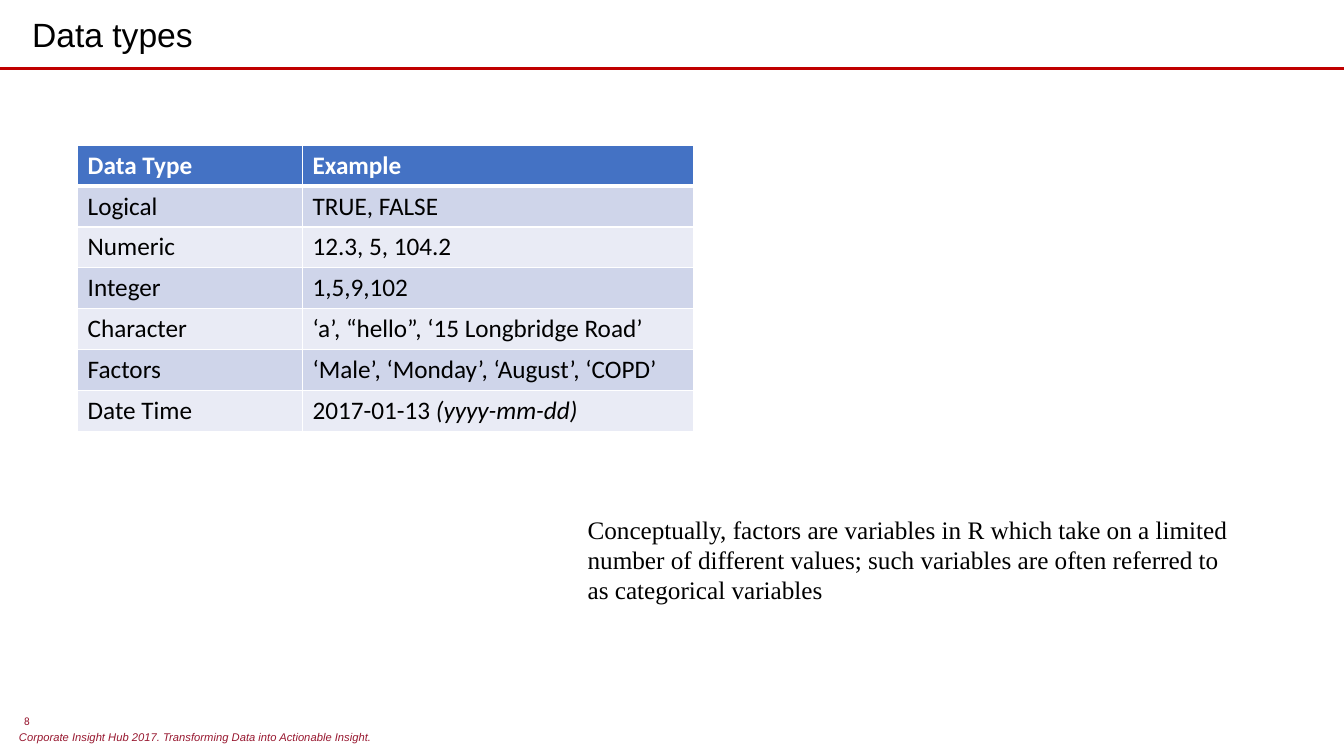
from lxml import etree
from pptx import Presentation
from pptx.dml.color import RGBColor
from pptx.enum import shapes, text
from pptx.oxml import ns
from pptx.util import Inches, Pt

BLACK = RGBColor(0x00, 0x00, 0x00)
WHITE = RGBColor(0xFF, 0xFF, 0xFF)
RULE_RED = RGBColor(0xC0, 0x00, 0x00)
FOOTER_RED = RGBColor(0x98, 0x18, 0x30)
HEADER_BLUE = RGBColor(0x44, 0x72, 0xC4)
BANDS = (RGBColor(0xCF, 0xD5, 0xEA), RGBColor(0xE9, 0xEB, 0xF5))

PAGE_WIDTH, PAGE_HEIGHT = 13.33, 7.5
COLUMN_WIDTHS = (2.23, 3.88)
DATA_TYPES = (
    ("Data Type", "Example"),
    ("Logical", "TRUE, FALSE"),
    ("Numeric", "12.3, 5, 104.2"),
    ("Integer", "1,5,9,102"),
    ("Character", "‘a’, “hello”, ‘15 Longbridge Road’"),
    ("Factors", "‘Male’, ‘Monday’, ‘August’, ‘COPD’"),
    ("Date Time", "2017-01-13 "),
)
DATE_FORMAT = "(yyyy-mm-dd)"
FACTORS_NOTE = (
    "Conceptually, factors are variables in R which take on a limited number of "
    "different values; such variables are often referred to as categorical variables"
)


def style_font(para, name, size, color, bold=False, italic=False):
    font = para.font
    font.name, font.size = name, Pt(size)
    font.bold, font.italic = bold, italic
    font.color.rgb = color


def add_text(page, box, words, name, size, color, italic=False):
    """Place a wrapping text box and return its text frame."""
    frame = page.shapes.add_textbox(*map(Inches, box)).text_frame
    frame.word_wrap = True
    para = frame.paragraphs[0]
    para.text = words
    style_font(para, name, size, color, italic=italic)
    return frame


def add_title(page, box, words):
    """Place the title with a red rule across the page below it."""
    left, top, width, height = box
    add_text(page, box, words, "Arial", 24, BLACK)
    rule_y = Inches(top + height + 0.09)
    rule = page.shapes.add_connector(
        shapes.MSO_CONNECTOR.STRAIGHT, 0, rule_y, Inches(PAGE_WIDTH), rule_y)
    rule.line.color.rgb = RULE_RED
    rule.line.width = Pt(1.5)
    etree.SubElement(rule.element.spPr, ns.qn("a:effectLst"))


def add_border(cell, side, points):
    line = etree.SubElement(
        cell._tc.get_or_add_tcPr(), ns.qn(f"a:ln{side}"), w=str(Pt(points)))
    fill = etree.SubElement(line, ns.qn("a:solidFill"))
    etree.SubElement(fill, ns.qn("a:srgbClr"), val=str(WHITE))


def fill_cell(cell, words, row):
    is_header = row == 0
    for side in "LRTB":
        beside_header = (row, side) in ((0, "B"), (1, "T"))
        add_border(cell, side, 3 if beside_header else 1)
    cell.fill.solid()
    cell.fill.fore_color.rgb = HEADER_BLUE if is_header else BANDS[(row - 1) % 2]
    para = cell.text_frame.paragraphs[0]
    para.text = words
    style_font(para, "Calibri", 18, WHITE if is_header else BLACK, bold=is_header)


def add_type_table(page, box):
    left, top, width, height = map(Inches, box)
    table = page.shapes.add_table(
        len(DATA_TYPES), len(COLUMN_WIDTHS), left, top, width, height).table
    for column, column_width in zip(table.columns, COLUMN_WIDTHS):
        column.width = Inches(column_width)
    for row, values in enumerate(DATA_TYPES):
        for column, words in enumerate(values):
            fill_cell(table.cell(row, column), words, row)
    last_cell = table.cell(len(DATA_TYPES) - 1, 1)
    span = last_cell.text_frame.paragraphs[0].add_run()
    span.text = DATE_FORMAT
    span.font.italic = True


def add_footer(page, box):
    """Place the page number above the footer line."""
    left, top, width, height = box
    number = add_text(page, (left + 0.15, top, 0.45, 0.13), "8",
                      "Calibri", 8, FOOTER_RED)
    number.margin_left = number.margin_right = 0
    number.margin_top = number.margin_bottom = 0
    footer = add_text(page, (left, top + 0.14, width, 0.16),
                      "Corporate Insight Hub 2017. Transforming Data into Actionable Insight.",
                      "Arial", 8, FOOTER_RED, italic=True)
    footer.vertical_anchor = text.MSO_ANCHOR.MIDDLE


def main():
    deck = Presentation()
    deck.slide_width, deck.slide_height = Inches(PAGE_WIDTH), Inches(PAGE_HEIGHT)
    page = deck.slides.add_slide(deck.slide_layouts[6])
    add_footer(page, (0.09, 7.09, 5.04, 0.3))
    add_title(page, (0.22, 0.09, 12.89, 0.5), "Data types")
    add_type_table(page, (0.77, 1.44, sum(COLUMN_WIDTHS), 2.84))
    add_text(page, (5.73, 5.05, 6.67, 1.01), FACTORS_NOTE,
             "Times New Roman", 18, BLACK)
    deck.save("out.pptx")


if __name__ == "__main__":
    main()
